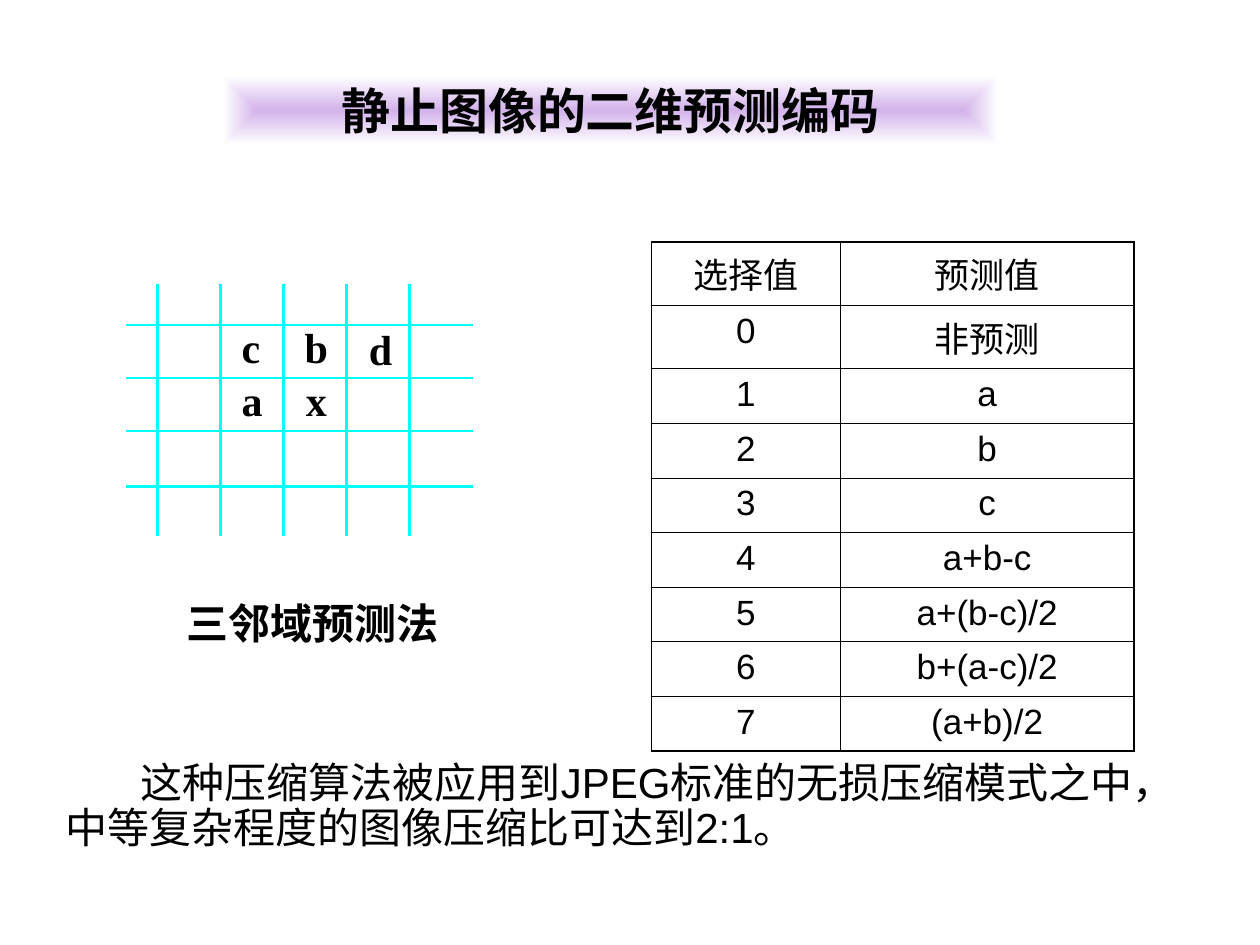
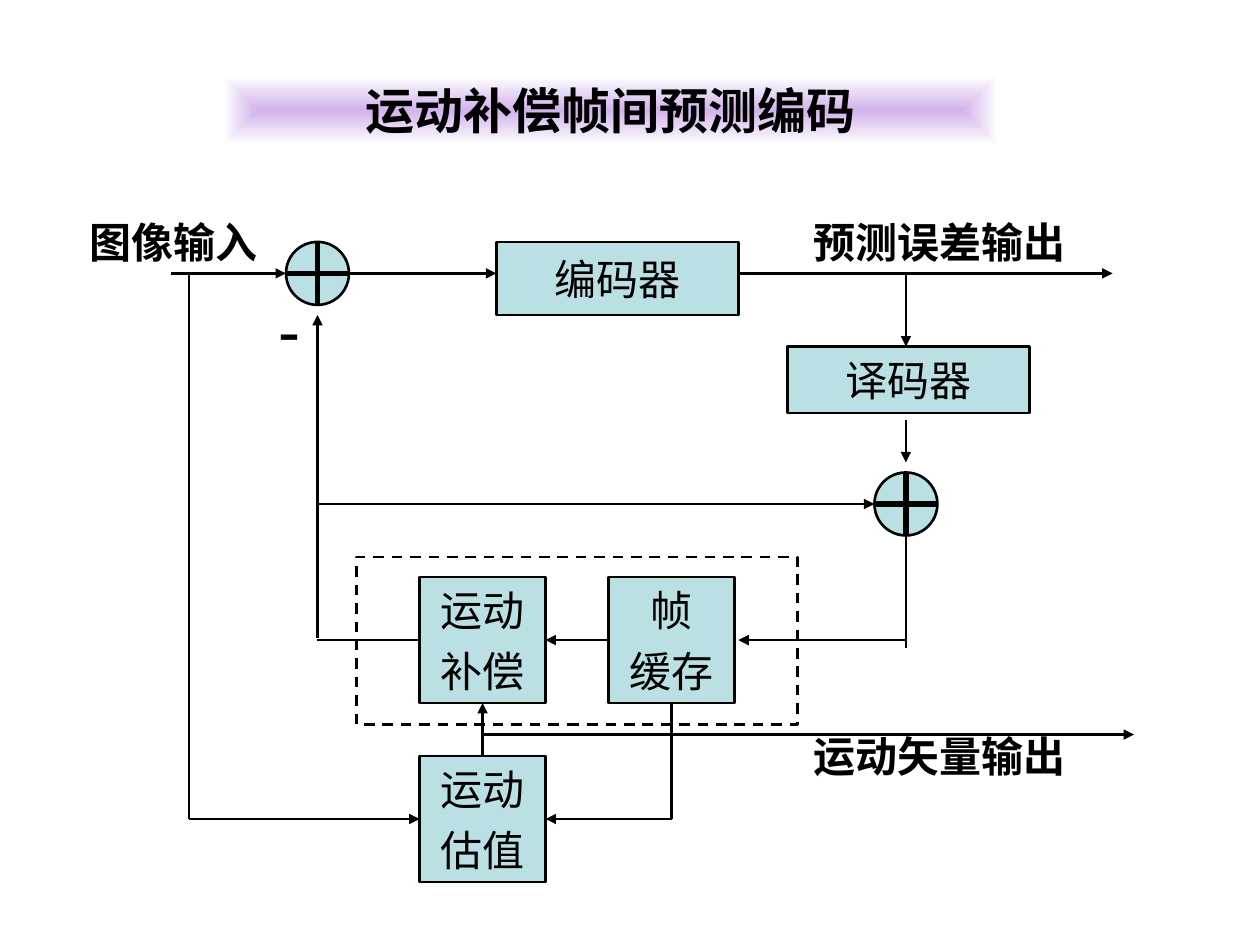
from lxml import etree
from pptx import Presentation
from pptx.dml.color import RGBColor
from pptx.enum import dml, shapes, text
from pptx.oxml import ns
from pptx.util import Inches, Pt

BLACK, LILAC, WHITE, CYAN, TEAL = "000000", "D3B3EB", "FFFFFF", "00FFFF", "BBE0E3"
TITLES = ["静止图像的二维预测编码", "运动补偿帧间预测编码"]
CENTER, LEFT = text.PP_ALIGN.CENTER, text.PP_ALIGN.LEFT


def write(frame, content, size=24, font="Times New Roman", bold=True, align=CENTER, wrap=True):
    frame.text = content
    frame.word_wrap = wrap
    for index, para in enumerate(frame.paragraphs):
        para.alignment = align
        if index:
            para.space_before = Pt(6)
        for span in para.runs:
            span.font.size, span.font.name, span.font.bold = Pt(size), font, bold
            span.font.color.rgb = RGBColor.from_string(BLACK)


def add_line(page, start, end, arrow=False, colour=BLACK, width=1.5):
    line = page.shapes.add_connector(
        shapes.MSO_CONNECTOR.STRAIGHT, *[Inches(value) for value in (*start, *end)])
    line.line.color.rgb = RGBColor.from_string(colour)
    line.line.width = Pt(width)
    properties = line._element.spPr
    if arrow:
        etree.SubElement(properties.find(ns.qn("a:ln")), ns.qn("a:tailEnd"), type="triangle")
    etree.SubElement(properties, ns.qn("a:effectLst"))
    return line


deck = Presentation()
deck.slide_width, deck.slide_height = Inches(10), Inches(7.5)

# Title band shared by both slides: a gradient that fades from the centre
for title_text in TITLES:
    title = deck.slides.add_slide(deck.slide_layouts[5]).shapes.title
    title.left, title.top, title.width, title.height = [
        Inches(value) for value in (1.77, 0.6, 6.15, 0.55)]
    title.fill.gradient()
    for stop, colour in zip(title.fill.gradient_stops, (LILAC, WHITE)):
        stop.color.rgb = RGBColor.from_string(colour)
    gradient = title._element.spPr.find(ns.qn("a:gradFill"))
    gradient.remove(gradient.find(ns.qn("a:lin")))
    fade = etree.SubElement(gradient, ns.qn("a:path"), path="rect")
    etree.SubElement(fade, ns.qn("a:fillToRect"), l="50000", t="50000", r="50000", b="50000")
    write(title.text_frame, title_text, 28, "Arial")
    title.text_frame.auto_size = text.MSO_AUTO_SIZE.NONE
    title.text_frame.vertical_anchor = text.MSO_ANCHOR.MIDDLE

prediction_page, motion_page = deck.slides

# Slide 1: predictor table
rows = [("选择值", "预测值"), ("0", "非预测"), ("1", "a"), ("2", "b"), ("3", "c"),
        ("4", "a+b-c"), ("5", "a+(b-c)/2"), ("6", "b+(a-c)/2"), ("7", "(a+b)/2")]
table = prediction_page.shapes.add_table(
    len(rows), 2, Inches(5.17), Inches(1.92), Inches(3.83), Inches(3.9)).table
table.first_row = table.horz_banding = False
table.columns[0].width, table.columns[1].width = Inches(1.5), Inches(2.33)
for row, values in enumerate(rows):
    for column, value in enumerate(values):
        cell = table.cell(row, column)
        write(cell.text_frame, value, 20, "Arial", False)
        outer_sides = {"L": column == 0, "R": column == 1,
                       "T": row == 0, "B": row == len(rows) - 1}
        cell_properties = cell._tc.get_or_add_tcPr()
        for side, is_outer in outer_sides.items():
            border = etree.SubElement(cell_properties, ns.qn("a:ln" + side),
                                      w=str(Pt(1.08 if is_outer else 0.45)))
            solid = etree.SubElement(border, ns.qn("a:solidFill"))
            etree.SubElement(solid, ns.qn("a:srgbClr"), val=BLACK)
        cell.fill.background()

# Slide 1: pixel neighbourhood
for y in (2.58, 3, 3.42, 3.86):
    add_line(prediction_page, (1, y), (3.75, y), colour=CYAN)
for step in range(5):
    x = 1.25 + 0.5 * step
    add_line(prediction_page, (x, 2.25), (x, 4.25), colour=CYAN)

# Labels: page, text, position and size, then font settings
serif = {"font": "Times New Roman"}
labels = [
    (prediction_page, "c", (1.82, 2.5, 0.35, 0.5), {"align": LEFT}),
    (prediction_page, "a", (1.82, 2.92, 0.35, 0.5), {"align": LEFT}),
    (prediction_page, "b", (2.32, 2.5, 0.43, 0.5), {"align": LEFT}),
    (prediction_page, "x", (2.33, 2.92, 0.35, 0.5), {"align": LEFT}),
    (prediction_page, "d", (2.83, 2.52, 0.43, 0.5), {"align": LEFT}),
    (prediction_page, "三邻域预测法", (1.38, 4.69, 2.33, 0.5), {"align": LEFT, "font": "Karla"}),
    (motion_page, "图像输入", (0.5, 1.67, 1.75, 0.5), {}),
    (motion_page, "预测误差输出", (6.25, 1.67, 2.42, 0.5), {}),
    (motion_page, "运动矢量输出", (6.25, 5.75, 2.42, 0.5), {}),
    (motion_page, "-", (2.02, 2.25, 0.55, 0.7), {"size": 36}),
]
for page, content, place, style in labels:
    box = page.shapes.add_textbox(*[Inches(value) for value in place])
    write(box.text_frame, content, **style)

note = prediction_page.shapes.add_textbox(Inches(0.42), Inches(6), Inches(9), Inches(1))
write(note.text_frame,
      "这种压缩算法被应用到JPEG标准的无损压缩模式之中，中等复杂程度的图像压缩比可达到2:1。",
      font="Arial", bold=False, align=LEFT)
note_para = note.text_frame.paragraphs[0]
note_para.line_spacing = 0.9
note_para._p.get_or_add_pPr().set("indent", str(Inches(0.6)))

# Slide 2: processing blocks
blocks = {}
for name, place in [("编码器", (3.94, 1.92, 1.92, 0.58)), ("译码器", (6.25, 2.75, 1.92, 0.53)),
                    ("运动\n补偿", (3.33, 4.58, 1, 1)), ("帧\n缓存", (4.83, 4.58, 1, 1)),
                    ("运动\n估值", (3.33, 6, 1, 1))]:
    block = motion_page.shapes.add_shape(
        shapes.MSO_SHAPE.RECTANGLE, *[Inches(value) for value in place])
    block.shadow.inherit = False
    block.fill.solid()
    block.fill.fore_color.rgb = RGBColor.from_string(TEAL)
    block.line.color.rgb = RGBColor.from_string(BLACK)
    block.line.width = Pt(1.5)
    write(block.text_frame, name, font="Karla", bold=False, wrap=False)
    block.text_frame.vertical_anchor = text.MSO_ANCHOR.MIDDLE
    blocks[name] = block
compensation, buffer, estimation = blocks["运动\n补偿"], blocks["帧\n缓存"], blocks["运动\n估值"]

# Slide 2: adders, each a circle with a cross
for x, y in [(2.52, 2.17), (7.19, 4)]:
    adder = motion_page.shapes.add_shape(
        shapes.MSO_SHAPE.OVAL, Inches(x - 0.25), Inches(y - 0.25), Inches(0.5), Inches(0.5))
    adder.shadow.inherit = False
    adder.fill.solid()
    adder.fill.fore_color.rgb = RGBColor.from_string(TEAL)
    adder.line.color.rgb = RGBColor.from_string(BLACK)
    adder.line.width = Pt(1.5)
    add_line(motion_page, (x - 0.25, y), (x + 0.25, y), width=3)
    add_line(motion_page, (x, y - 0.25), (x, y + 0.25), width=3)

# Slide 2: signal flow
for start, end, arrow in [
    ((1.36, 2.17), (2.27, 2.17), True),
    ((2.77, 2.17), (3.94, 2.17), True),
    ((5.86, 2.17), (8.83, 2.17), True),
    ((7.19, 2.17), (7.19, 2.75), True),
    ((7.19, 3.33), (7.19, 3.67), True),
    ((7.19, 4.25), (7.19, 5.14), False),
    ((7.19, 5.08), (5.86, 5.08), True),
    ((2.52, 5.06), (2.52, 2.5), True),
    ((2.52, 4), (6.94, 4), True),
    ((1.5, 2.17), (1.5, 6.5), False),
    ((3.83, 5.83), (9, 5.83), True),
]:
    add_line(motion_page, start, end, arrow)

# Lines joined to blocks: each joint is a block and its side
for start, end, arrow, begin_joint, end_joint in [
    ((3.33, 5.08), (2.52, 5.08), False, (compensation, 1), None),
    ((4.83, 5.08), (4.33, 5.08), True, (buffer, 1), (compensation, 3)),
    ((1.5, 6.5), (3.33, 6.5), True, None, (estimation, 1)),
    ((5.33, 5.58), (5.33, 6.5), False, (buffer, 2), None),
    ((5.33, 6.5), (4.33, 6.5), True, None, (estimation, 3)),
    ((3.83, 6), (3.83, 5.58), True, (estimation, 0), (compensation, 2)),
]:
    flow = add_line(motion_page, start, end, arrow)
    if begin_joint:
        flow.begin_connect(*begin_joint)
    if end_joint:
        flow.end_connect(*end_joint)

group_frame = motion_page.shapes.add_shape(
    shapes.MSO_SHAPE.RECTANGLE, Inches(2.83), Inches(4.42), Inches(3.5), Inches(1.33))
group_frame.shadow.inherit = False
group_frame.fill.background()
group_frame.line.color.rgb = RGBColor.from_string(BLACK)
group_frame.line.width = Pt(1.5)
group_frame.line.dash_style = dml.MSO_LINE.DASH

deck.save("out.pptx")
